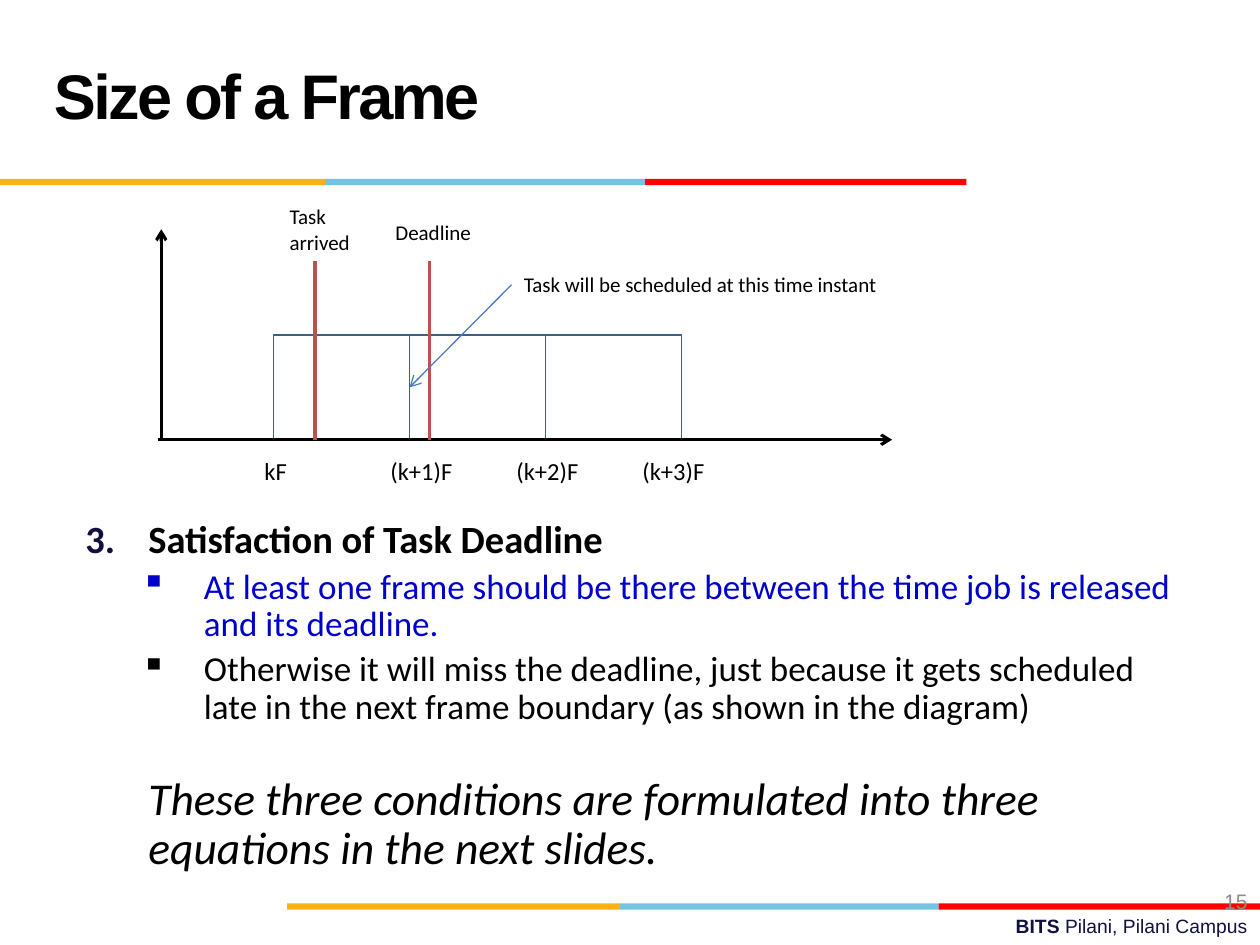
from lxml import etree
from pptx import Presentation
from pptx.dml.color import RGBColor
from pptx.enum import shapes, text
from pptx.oxml import ns
from pptx.util import Inches, Pt

THEME = {
    "black": "000000", "navy": "101141", "blue": "0000CC", "grey": "8C8C8C",
    "frame": "3A5F8C", "event": "C0504D", "pointer": "4B7EBC",
    "strip": ("FCB017", "76C2E5", "FF0000"),
    "heading_font": "Arial", "body_font": "Calibri",
    "title": 36, "conclusion": 26, "point": 22, "subpoint": 20,
    "tick": 14, "note": 12, "footer": 11,
}

TITLE = "Size of a Frame"
CAMPUS = (("BITS ", True), ("Pilani, Pilani Campus", False))
PAGE = "15"
STRIPS = (  # top, edges of the three colour bands
    (1.42, (0, 2.58, 5.12, 7.67)),
    (7.17, (2.28, 4.92, 7.45, 10)),
)
TICKS = ("kF", "(k+1)F", "(k+2)F", "(k+3)F")
TICK_WIDTHS = (0.42, 0.77, 0.77, 0.77)
EVENTS = (  # line x, label lines, label box
    (2.5, ("Task", "arrived"), (2.2, 1.57, 0.71, 0.5)),
    (3.41, ("Deadline",), (3.04, 1.69, 0.86, 0.3)),
)
SCHEDULED = "Task will be scheduled at this time instant"
# text, size, colour, bold, italic, left margin, hanging, space before, bullet
BODY = (
    ("Satisfaction of Task Deadline",
     "point", "black", True, False, 0.5, 0.5, 0, "number"),
    ("At least one frame should be there between the time job is released "
     "and its deadline.",
     "subpoint", "blue", False, False, 0.94, 0.5, 4, "square"),
    ("Otherwise it will miss the deadline, just because it gets scheduled "
     "late in the next frame boundary (as shown in the diagram)",
     "subpoint", "black", False, False, 0.94, 0.5, 4, "square"),
    ("These three conditions are formulated into three equations in the "
     "next slides.",
     "conclusion", "black", False, True, 0.5, 0, 28, None),
)

FRAME_LEFT, FRAME_TOP, FRAME_WIDTH, FRAME_HEIGHT = 2.17, 2.66, 1.08, 0.83
BASELINE = FRAME_TOP + FRAME_HEIGHT
EVENT_TOP = 2.07


def color(name):
    return RGBColor.from_string(THEME.get(name, name))


def style(font, size, name="black", face="body_font", bold=False, italic=False):
    font.size = Pt(THEME[size])
    font.name = THEME[face]
    font.color.rgb = color(name)
    font.bold, font.italic = bold, italic


def add_rect(slide, box, fill=None, line=None):
    rect = slide.shapes.add_shape(shapes.MSO_SHAPE.RECTANGLE, *map(Inches, box))
    rect.shadow.inherit = False
    if fill:
        rect.fill.solid()
        rect.fill.fore_color.rgb = color(fill)
    else:
        rect.fill.background()
    if line:
        rect.line.color.rgb = color(line)
        rect.line.width = Pt(1)
    else:
        rect.line.fill.background()
    return rect


def add_line(slide, start, end, name, width=1.75, arrow=False):
    line = slide.shapes.add_connector(
        shapes.MSO_CONNECTOR.STRAIGHT, *map(Inches, (*start, *end)))
    line.line.color.rgb = color(name)
    line.line.width = Pt(width)
    if arrow:
        etree.SubElement(line.line._get_or_add_ln(), ns.qn("a:tailEnd"), type="arrow")
    etree.SubElement(line._element.spPr, ns.qn("a:effectLst"))
    return line


def add_box(slide, box, wrap=True, middle=False):
    area = slide.shapes.add_textbox(*map(Inches, box))
    area.text_frame.word_wrap = wrap
    if middle:
        area.text_frame.vertical_anchor = text.MSO_ANCHOR.MIDDLE
    return area


def add_label(slide, lines, box, size):
    label = add_box(slide, box, wrap=False)
    label.text_frame.text = "\n".join(lines)
    for paragraph in label.text_frame.paragraphs:
        style(paragraph.font, size)
    return label


def set_bullet(paragraph, kind, left, hanging):
    props = paragraph._p.get_or_add_pPr()
    props.set("marL", str(Inches(left)))
    props.set("indent", str(-Inches(hanging)))
    if kind == "number":
        tint = etree.SubElement(props, ns.qn("a:buClr"))
        etree.SubElement(tint, ns.qn("a:srgbClr"), val=THEME["navy"])
        etree.SubElement(props, ns.qn("a:buAutoNum"), type="arabicPeriod", startAt="3")
    elif kind == "square":
        etree.SubElement(props, ns.qn("a:buChar"), char="▪")
    else:
        etree.SubElement(props, ns.qn("a:buNone"))


def add_footer(slide):
    campus = add_box(slide, (3.58, 7.21, 6.42, 0.29)).text_frame.paragraphs[0]
    campus.alignment = text.PP_ALIGN.RIGHT
    for words, bold in CAMPUS:
        run = campus.add_run()
        run.text = words
        style(run.font, "footer", "navy", "heading_font", bold)
    for top, edges in STRIPS:
        for left, right, band in zip(edges, edges[1:], THEME["strip"]):
            add_rect(slide, (left, top, right - left, 0.05), fill=band)
    page = add_box(slide, (7.67, 6.95, 2.33, 0.4), middle=True).text_frame.paragraphs[0]
    page.text = PAGE
    page.alignment = text.PP_ALIGN.RIGHT
    style(page.font, "note", "grey", "heading_font")


def add_title(slide):
    title = add_box(slide, (0.33, 0.17, 6.92, 1.25), middle=True).text_frame.paragraphs[0]
    title.text = TITLE
    title.line_spacing = Pt(36)
    style(title.font, "title", face="heading_font", bold=True)
    title.runs[0]._r.get_or_add_rPr().set("spc", "-150")


def add_body(slide):
    frame = add_box(slide, (0.58, 4.08, 9, 3.17)).text_frame
    for i, (words, size, name, bold, italic, left, hanging, before, bullet) in enumerate(BODY):
        paragraph = frame.add_paragraph() if i else frame.paragraphs[0]
        paragraph.text = words
        set_bullet(paragraph, bullet, left, hanging)
        paragraph.line_spacing = 0.9
        paragraph.space_before = Pt(before)
        style(paragraph.font, size, name, bold=bold, italic=italic)


def add_timeline(slide):
    frames = [
        add_rect(slide, (FRAME_LEFT + i * FRAME_WIDTH, FRAME_TOP, FRAME_WIDTH, FRAME_HEIGHT),
                 line="frame")
        for i in range(len(TICKS) - 1)]
    add_line(slide, (1.25, BASELINE), (7.08, BASELINE), "black", arrow=True)
    add_line(slide, (1.28, BASELINE), (1.28, 1.82), "black", arrow=True)
    for x, lines, box in EVENTS:
        add_line(slide, (x, BASELINE), (x, EVENT_TOP), "event")
        add_label(slide, lines, box, "note")
    for i, (tick, width) in enumerate(zip(TICKS, TICK_WIDTHS)):
        add_label(slide, [tick], (2 + i, 3.57, width, 0.34), "tick")
    scheduled = add_label(slide, [SCHEDULED], (4.06, 2.11, 3.27, 0.3), "note")
    pointer = add_line(slide, (4.06, 2.26), (3.25, 3.07), "pointer", 0.75, arrow=True)
    pointer.begin_connect(scheduled, 1)
    pointer.end_connect(frames[1], 1)


def main():
    deck = Presentation()
    deck.slide_width, deck.slide_height = Inches(10), Inches(7.5)
    slide = deck.slides.add_slide(deck.slide_layouts[6])
    add_footer(slide)
    add_body(slide)
    add_title(slide)
    add_timeline(slide)
    deck.save("out.pptx")


if __name__ == "__main__":
    main()
